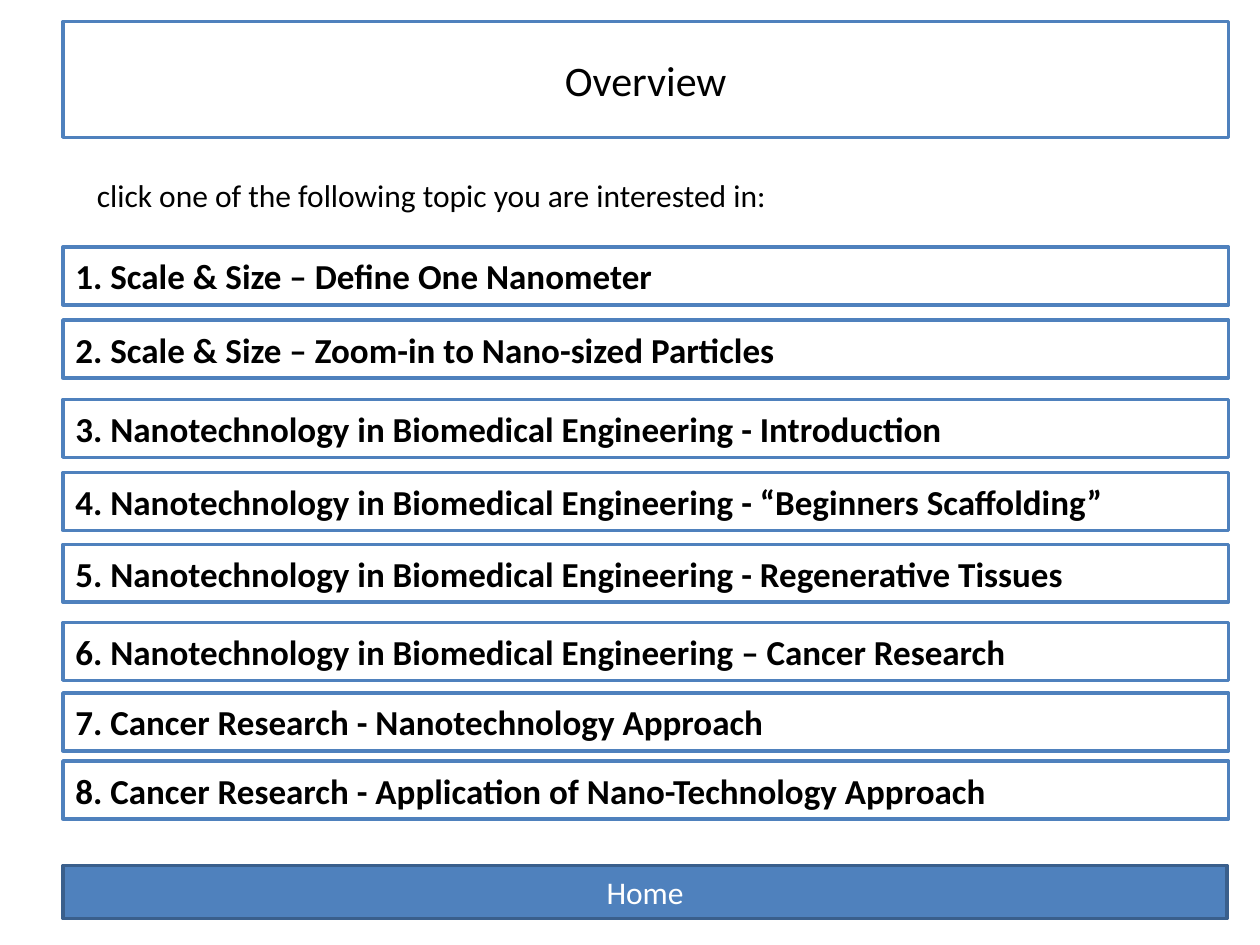
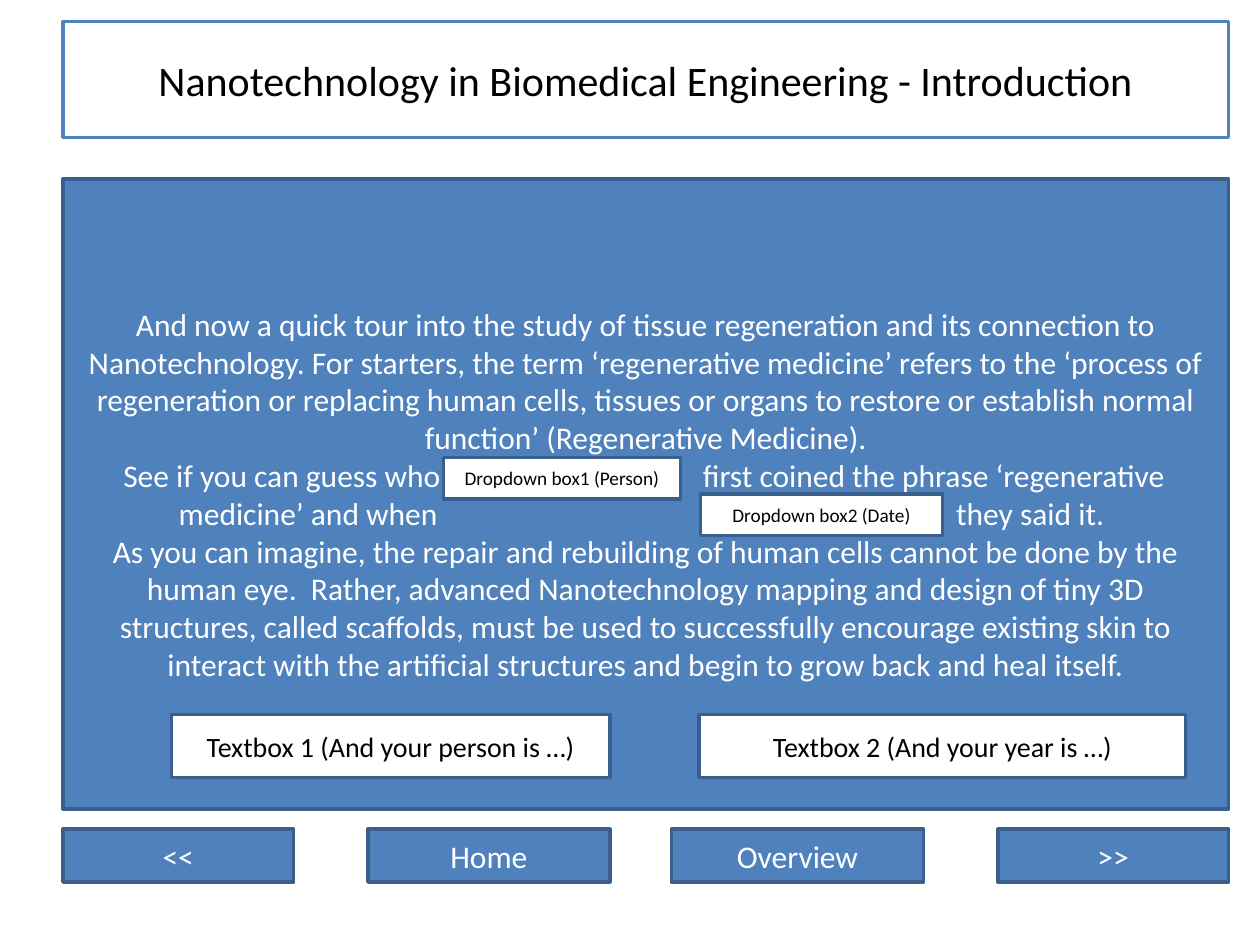
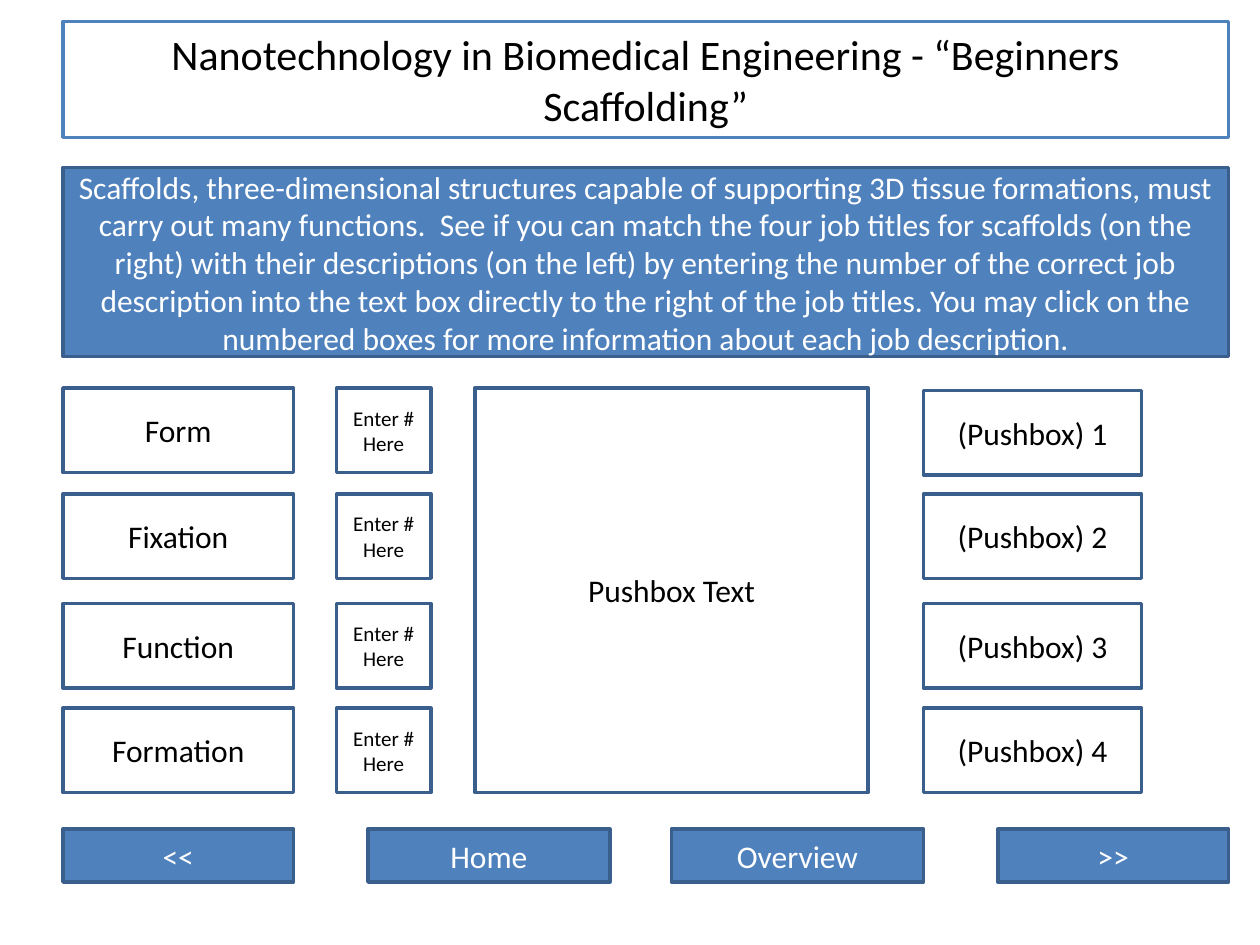
from lxml import etree
from pptx import Presentation
from pptx.dml.color import RGBColor
from pptx.enum.shapes import MSO_SHAPE
from pptx.enum.text import MSO_ANCHOR, MSO_AUTO_SIZE, PP_ALIGN
from pptx.oxml.ns import qn
from pptx.util import Pt

RECT = MSO_SHAPE.RECTANGLE
MIDDLE = MSO_ANCHOR.MIDDLE
LEFT, CENTER = PP_ALIGN.LEFT, PP_ALIGN.CENTER
NO_FIT, GROW = MSO_AUTO_SIZE.NONE, MSO_AUTO_SIZE.SHAPE_TO_FIT_TEXT

PX = 9144  # 100 px to the inch
FONT = "Calibri"
COLORS = {"white": "FFFFFF", "black": "000000", "blue": "4F81BD", "navy": "3A5F8C"}
EDGE, WIDE = 50, 925

TOPICS = [
    (196, "1. Scale & Size – Define One Nanometer"),
    (254, "2. Scale & Size – Zoom-in to Nano-sized Particles"),
    (317, "3. Nanotechnology in Biomedical Engineering - Introduction"),
    (375, "4. Nanotechnology in Biomedical Engineering - “Beginners Scaffolding”"),
    (432, "5. Nanotechnology in Biomedical Engineering - Regenerative Tissues"),
    (494, "6. Nanotechnology in Biomedical Engineering – Cancer Research"),
    (550, "7. Cancer Research - Nanotechnology Approach"),
    (604, "8. Cancer Research - Application of Nano-Technology Approach"),
]
NAV = [(EDGE, 183, "<<"), (292, 192, "Home"), (533, 200, "Overview"), (792, 183, ">>")]
TOUR = [
    "And now a quick tour into the study of tissue regeneration and its connection to "
    "Nanotechnology. For starters, the term ‘regenerative medicine’ refers to the "
    "‘process of regeneration or replacing human cells, tissues or organs to restore or "
    "establish normal function’ (Regenerative Medicine).",
    "\tSee if you can guess who\tfirst coined the phrase ‘regenerative",
    "\tmedicine’ and when\tthey said it.",
    "As you can imagine, the repair and rebuilding of human cells cannot be done by the "
    "human eye.  Rather, advanced Nanotechnology mapping and design of tiny 3D "
    "structures, called scaffolds, must be used to successfully encourage existing skin "
    "to interact with the artificial structures and begin to grow back and heal itself.",
]
TOUR_STOPS = {1: (38, 498), 2: (82, 699)}
FIELDS = [
    (352, 363, 188, 33, "Dropdown box1 (Person)", 11),
    (556, 392, 192, 33, "Dropdown box2 (Date)", 11),
    (136, 567, 348, 50, "Textbox 1 (And your person is …)", 16),
    (555, 567, 386, 50, "Textbox 2 (And your year is …)", 16),
]
TASK = (
    "Scaffolds, three-dimensional structures capable of supporting 3D tissue formations, "
    "must carry out many functions.  See if you can match the four job titles for "
    "scaffolds (on the right) with their descriptions (on the left) by entering the "
    "number of the correct job description into the text box directly to the right of "
    "the job titles. You may click on the numbered boxes for more information about "
    "each job description."
)
JOBS = [(308, 310, "Form"), (392, 392, "Fixation"),
        (479, 479, "Function"), (562, 562, "Formation")]


def color(name):
    return RGBColor.from_string(COLORS[name])


def place(shape, x, y, w, h):
    shape.left, shape.top = x * PX, y * PX
    shape.width, shape.height = w * PX, h * PX


def paint(shape, fill, line):
    shape.fill.solid()
    shape.fill.fore_color.rgb = color(fill)
    shape.line.color.rgb = color(line)
    shape.line.width = Pt(2)


def write(shape, text, size, ink="black", align=CENTER, bold=False):
    frame = shape.text_frame
    frame.text = text
    frame.word_wrap = True
    frame.vertical_anchor = MIDDLE
    for para in frame.paragraphs:
        para.alignment = align
        for run in para.runs:
            font = run.font
            font.name, font.size, font.bold = FONT, Pt(size), bold
            font.color.rgb = color(ink)


def add_box(slide, x, y, w, h, text, size=18, fill="white", line="navy", **style):
    box = slide.shapes.add_shape(RECT, x * PX, y * PX, w * PX, h * PX)
    box.shadow.inherit = False
    paint(box, fill, line)
    write(box, text, size, **style)
    return box


def add_panel(slide, x, y, w, h, text):
    """Add a blue box with white text, as used for buttons and body copy."""
    return add_box(slide, x, y, w, h, text, fill="blue", ink="white")


def add_nav(slide):
    for x, w, label in NAV:
        add_panel(slide, x, 658, w, 42, label)


def set_tabs(para, stops):
    """Align a line from the left, on the given tab stops."""
    para.alignment = LEFT
    props = para._p.get_or_add_pPr()
    tabs = etree.SubElement(props, qn("a:tabLst"))
    for stop in stops:
        etree.SubElement(tabs, qn("a:tab"), pos=str(stop * PX), algn="l")


def add_slide(deck, title):
    slide = deck.slides.add_slide(deck.slide_layouts[5])
    head = slide.shapes.title
    place(head, EDGE, 17, WIDE, 92)
    paint(head, "white", "blue")
    write(head, title, 24)
    head.text_frame.auto_size = NO_FIT
    return slide


def add_overview(deck):
    slide = add_slide(deck, "Overview")
    hint = slide.shapes.add_textbox(67 * PX, 135 * PX, 692 * PX, 40 * PX)
    write(hint, "click one of the following topic you are interested in:", 18, align=LEFT)
    hint.text_frame.auto_size = GROW
    for y, topic in TOPICS:
        add_box(slide, EDGE, y, WIDE, 46, topic, 20, line="blue", align=LEFT, bold=True)
    add_panel(slide, EDGE, 687, 924, 42, "Home")


def add_intro(deck):
    slide = add_slide(deck, "Nanotechnology in Biomedical Engineering - Introduction")
    panel = add_panel(slide, EDGE, 142, WIDE, 500, "\n".join(TOUR))
    for index, stops in TOUR_STOPS.items():
        set_tabs(panel.text_frame.paragraphs[index], stops)
    for field in FIELDS:
        add_box(slide, *field)
    add_nav(slide)


def add_match(deck):
    slide = add_slide(
        deck, "Nanotechnology in Biomedical Engineering - “Beginners Scaffolding”")
    add_panel(slide, EDGE, 133, WIDE, 150, TASK)
    for number, (y, push, job) in enumerate(JOBS, 1):
        add_box(slide, EDGE, y, 183, 67, job)
        add_box(slide, 267, y, 75, 67, "Enter # Here", 12)
        add_box(slide, 733, push, 173, 67, f"(Pushbox) {number}")
    add_box(slide, 377, 308, 312, 321, "Pushbox Text")
    add_nav(slide)


def main():
    deck = Presentation()
    deck.slide_width, deck.slide_height = 1000 * PX, 750 * PX
    add_overview(deck)
    add_intro(deck)
    add_match(deck)
    deck.save("out.pptx")


if __name__ == "__main__":
    main()
